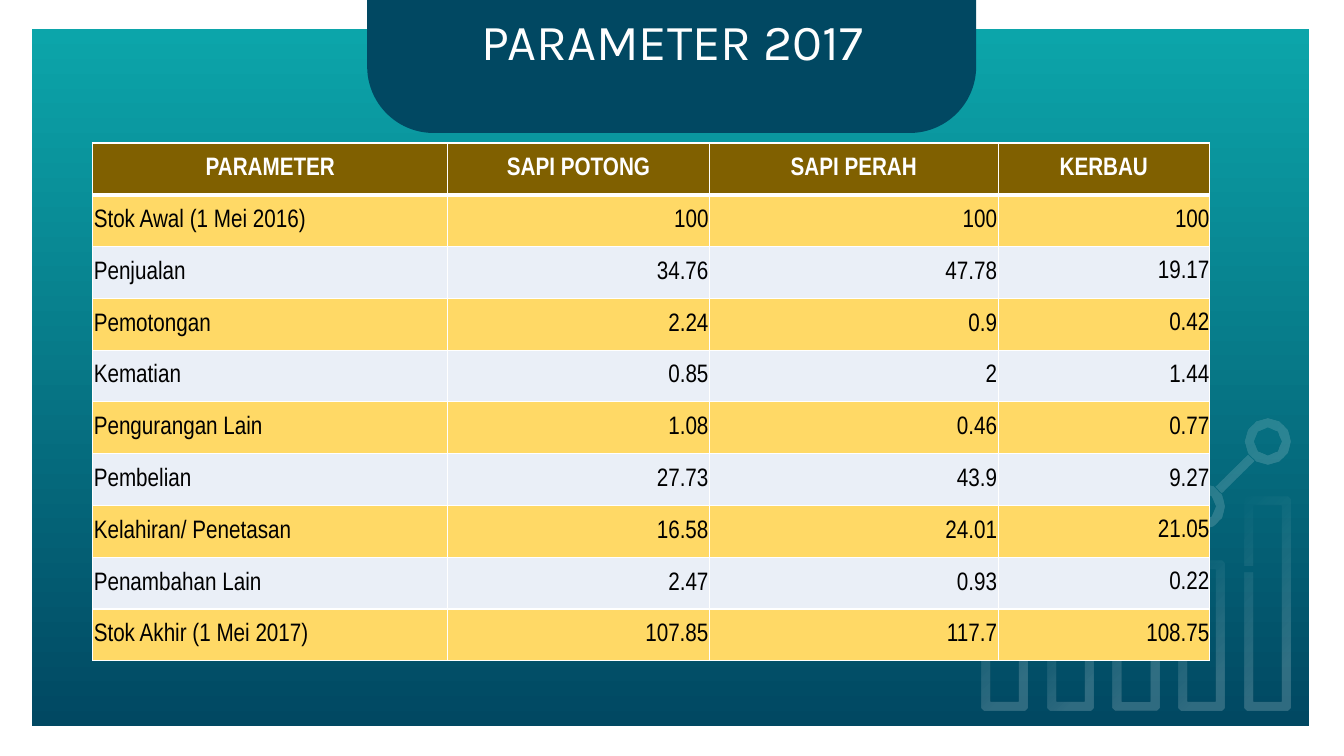
from dataclasses import dataclass
from math import cos, sin, hypot, radians
from lxml.etree import SubElement
from pptx import Presentation
from pptx.dml.color import RGBColor
from pptx.enum.shapes import MSO_SHAPE
from pptx.enum.text import MSO_ANCHOR, PP_ALIGN
from pptx.oxml.ns import qn
from pptx.util import Pt

TITLE = "PARAMETER 2017"
HEADS = ["PARAMETER", "SAPI POTONG", "SAPI PERAH", "KERBAU"]
ROWS = [
    ("Stok Awal (1 Mei 2016)", "100", "100", "100"),
    ("Penjualan", "34.76", "47.78", "19.17"),
    ("Pemotongan", "2.24", "0.9", "0.42"),
    ("Kematian", "0.85", "2", "1.44"),
    ("Pengurangan Lain", "1.08", "0.46", "0.77"),
    ("Pembelian", "27.73", "43.9", "9.27"),
    ("Kelahiran/ Penetasan", "16.58", "24.01", "21.05"),
    ("Penambahan Lain", "2.47", "0.93", "0.22"),
    ("Stok Akhir (1 Mei 2017)", "107.85", "117.7", "108.75"),
]
WIDTHS = [253.5, 187, 206.2, 151]
ROW_H = 37
BAR_TOPS = [405.4, 436.3, 385.2, 400.3, 355]
NODE_YS = [366.5, 397, 346.3, 361.4, 315.4]
GAPS = {0: (26.4, 466.6), 4: (0, 404.6)}
ICON_X, STEP, BAR_W, BASE, WALL, GAP_H = 701.2, 46.9, 33, 507.4, 6.6, 4.3


@dataclass(frozen=True)
class Theme:
    teal: str = "0CA5AA"
    navy: str = "014862"
    white: str = "FFFFFF"
    title: str = "FEFEFE"
    black: str = "000000"
    brown: str = "806000"
    gold: str = "FFD966"
    pale: str = "EAEFF7"
    head_font: str = "Karla"
    body_font: str = "Arial Narrow"
    head_size: int = 36
    body_size: int = 18


T = Theme()


def rgb(code):
    return RGBColor.from_string(code)


def put(frame, text, font, size, color, align, bold=False, spacing=None):
    frame.text = text
    para = frame.paragraphs[0]
    para.alignment = align
    para.line_spacing = spacing
    style = para.runs[0].font
    style.name, style.size, style.bold = font, Pt(size), bold
    style.color.rgb = rgb(color)


def plain(shape):
    shape.shadow.inherit = False
    shape.line.fill.background()


def blend(shape, stops, angle, alphas=()):
    shape.fill.gradient()
    shape.fill.gradient_angle = angle
    for stop, (place, color) in zip(shape.fill.gradient_stops, stops):
        stop.position = place
        stop.color.rgb = rgb(color)
    for color, alpha in zip(shape.element.spPr.iter(qn("a:srgbClr")), alphas):
        SubElement(color, qn("a:alpha")).set("val", str(alpha * 1000))


def box(x, y, w, h, cut=0):
    if not cut:
        return [(x, y), (x + w, y), (x + w, y + h), (x, y + h)]
    return [(x + cut, y), (x + w - cut, y), (x + w, y + cut), (x + w, y + h - cut),
            (x + w - cut, y + h), (x + cut, y + h), (x, y + h - cut), (x, y + cut)]


def disc(x, y, r, step):
    return [(x + r * cos(radians(a)), y + r * sin(radians(a)))
            for a in range(0, 360, step)]


def link(start, end, r):
    (x1, y1), (x2, y2) = start, end
    size = hypot(x2 - x1, y2 - y1)
    ux, uy = (x2 - x1) / size, (y2 - y1) / size
    half = WALL / 2
    return [(x + ux * d - uy * s, y + uy * d + ux * s)
            for x, y, d, s in [(x1, y1, r, -half), (x2, y2, -r, -half),
                               (x2, y2, -r, half), (x1, y1, r, half)]]


def trace(shapes, loops):
    loops = [[(Pt(x), Pt(y)) for x, y in loop] for loop in loops]
    pen = shapes.build_freeform(*loops[0][0], scale=1.0)
    for loop in loops:
        if loop is not loops[0]:
            pen.move_to(*loop[0])
        pen.add_line_segments(loop[1:], close=True)
    shape = pen.convert_to_shape()
    plain(shape)
    blend(shape, [(0, T.white), (0.8, T.white)], 315, (0, 18))


def draw_icon(shapes):
    for i, top in enumerate(BAR_TOPS):
        x, high = ICON_X + i * STEP, BASE - top
        loops = [box(x, top, BAR_W, high, cut=2),
                 box(x + WALL, top + WALL, BAR_W - 2 * WALL, high - 2 * WALL)]
        if i in GAPS:
            dx, y = GAPS[i]
            loops.append(box(x + dx, y, WALL, GAP_H))
        trace(shapes, loops)
    r = BAR_W / 2
    nodes = [(ICON_X + r + i * STEP, y) for i, y in enumerate(NODE_YS)]
    loops = [disc(*node, size, step) for node in nodes
             for size, step in ((r, 30), (r - WALL, 45))]
    loops += [link(a, b, r) for a, b in zip(nodes, nodes[1:])]
    trace(shapes, loops)


def edge(cell, top, bottom):
    props = cell._tc.get_or_add_tcPr()
    for side, width in zip("LRTB", (1, 1, top, bottom)):
        line = SubElement(props, qn("a:ln" + side))
        line.set("w", str(Pt(width)))
        fill = SubElement(line, qn("a:solidFill"))
        SubElement(fill, qn("a:srgbClr")).set("val", T.white)


def draw_table(shapes):
    count = len(ROWS) + 1
    table = shapes.add_table(count, len(HEADS), Pt(66.3), Pt(102.1),
                             Pt(sum(WIDTHS)), Pt(ROW_H * count)).table
    for col, width in zip(table.columns, WIDTHS):
        col.width = Pt(width)
    for r, row in enumerate([HEADS, *ROWS]):
        table.rows[r].height = Pt(ROW_H)
        for c, text in enumerate(row):
            cell = table.cell(r, c)
            edge(cell, 3 if r == 1 else 1, 3 if r == 0 else 1)
            cell.fill.solid()
            cell.vertical_anchor = MSO_ANCHOR.MIDDLE
            if r == 0:
                back, ink, align = T.brown, T.white, PP_ALIGN.CENTER
            else:
                back, ink = T.gold if r % 2 else T.pale, T.black
                align = PP_ALIGN.RIGHT if c else PP_ALIGN.LEFT
                inset = Pt(0 if c == 3 else 0.7)
                cell.margin_left = cell.margin_right = cell.margin_top = inset
                cell.margin_bottom = 0
            cell.fill.fore_color.rgb = rgb(back)
            put(cell.text_frame, text, font=T.body_font, size=T.body_size,
                color=ink, align=align, bold=r == 0)


def main():
    deck = Presentation()
    deck.slide_width, deck.slide_height = Pt(960), Pt(540)
    slide = deck.slides.add_slide(deck.slide_layouts[5])
    shapes = slide.shapes
    panel = shapes.add_shape(MSO_SHAPE.RECTANGLE, Pt(23), Pt(21), Pt(912), Pt(497.5))
    plain(panel)
    blend(panel, [(0, T.teal), (1, T.navy)], 270)
    draw_icon(shapes)
    tab = shapes.add_shape(MSO_SHAPE.ROUND_2_SAME_RECTANGLE,
                           Pt(262.3), 0, Pt(435), Pt(95))
    plain(tab)
    tab.adjustments[0], tab.adjustments[1] = 0, 0.5
    tab.fill.solid()
    tab.fill.fore_color.rgb = rgb(T.navy)
    title = shapes.title
    title.left, title.top, title.width, title.height = Pt(66.2), 0, Pt(828), Pt(63.4)
    tab.element.addnext(title.element)
    title.text_frame.vertical_anchor = MSO_ANCHOR.MIDDLE
    put(title.text_frame, TITLE, font=T.head_font, size=T.head_size,
        color=T.title, align=PP_ALIGN.CENTER, spacing=0.9)
    draw_table(shapes)
    deck.save("out.pptx")


if __name__ == "__main__":
    main()
